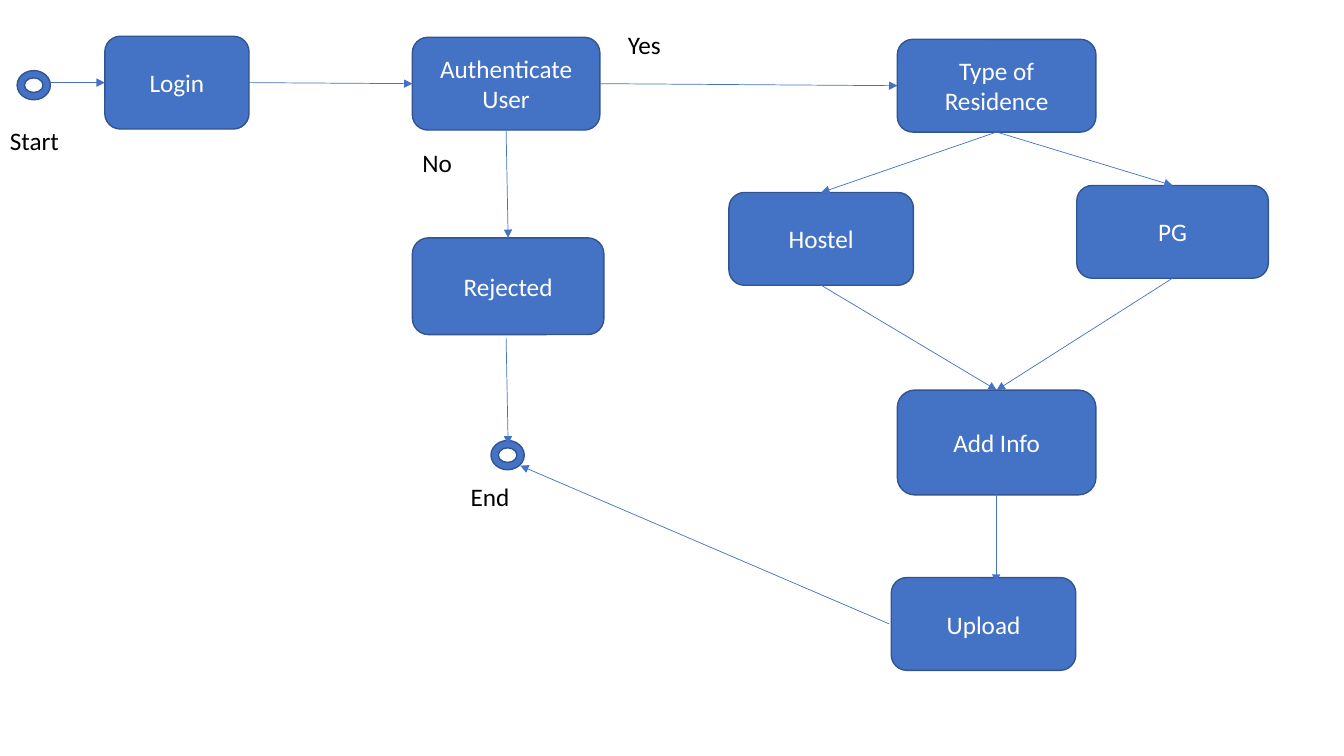
from lxml import etree
from pptx import Presentation
from pptx.dml.color import RGBColor
from pptx.enum.shapes import MSO_CONNECTOR as Connector, MSO_SHAPE as Shape
from pptx.enum.text import MSO_ANCHOR as Anchor, MSO_AUTO_SIZE as AutoSize, PP_ALIGN as Align
from pptx.oxml.ns import qn
from pptx.util import Inches, Pt

BLUE = "4472C4"
OUTLINE = "325491"
TOP, LEFT, BOTTOM, RIGHT = range(4)

STEPS = {
    "Login": (1.04, 0.36, 1.43, 0.92),
    "Authenticate User": (4.09, 0.37, 1.86, 0.92),
    "Rejected": (4.09, 2.36, 1.9, 0.96),
    "Type of Residence": (8.9, 0.39, 1.97, 0.92),
    "Hostel": (7.23, 1.91, 1.83, 0.92),
    "PG": (10.68, 1.84, 1.9, 0.92),
    "Add Info": (8.9, 3.87, 1.97, 1.04),
    "Upload": (8.84, 5.73, 1.83, 0.92),
}
FLOWS = [
    ("Login", RIGHT, "Authenticate User", LEFT),
    ("Authenticate User", BOTTOM, "Rejected", TOP),
    ("Authenticate User", RIGHT, "Type of Residence", LEFT),
    ("Type of Residence", BOTTOM, "PG", TOP),
    ("Type of Residence", BOTTOM, "Hostel", TOP),
    ("Hostel", BOTTOM, "Add Info", TOP),
    ("PG", BOTTOM, "Add Info", TOP),
]
FREE_ARROWS = [
    (9.88, 4.86, 9.88, 5.78),
    (0.51, 0.82, 1.04, 0.82),
    (5.02, 3.35, 5.04, 4.41),
    (8.82, 6.19, 5.16, 4.62),
]
TERMINALS = [(0.17, 0.7), (4.87, 4.37)]
LABELS = {"Start": (0, 1.19), "End": (4.57, 4.73), "Yes": (6.13, 0.24), "No": (4.09, 1.41)}


def color(value):
    return RGBColor.from_string(value)


def set_text(shape, text, size=18, font="Calibri", fill="000000", align=Align.LEFT, anchor=Anchor.TOP):
    frame = shape.text_frame
    frame.word_wrap = True
    frame.vertical_anchor = anchor
    paragraph = frame.paragraphs[0]
    paragraph.alignment = align
    run = paragraph.add_run()
    run.text = text
    run.font.size = Pt(size)
    run.font.name = font
    run.font.color.rgb = color(fill)


def add_node(slide, kind, left, top, width, height):
    shape = slide.shapes.add_shape(kind, *map(Inches, (left, top, width, height)))
    shape.shadow.inherit = False
    shape.fill.solid()
    shape.fill.fore_color.rgb = color(BLUE)
    shape.line.color.rgb = color(OUTLINE)
    shape.line.width = Pt(1)
    return shape


def add_step(slide, text, bounds):
    shape = add_node(slide, Shape.ROUNDED_RECTANGLE, *bounds)
    set_text(shape, text, fill="FFFFFF", align=Align.CENTER, anchor=Anchor.MIDDLE)
    return shape


def add_arrow(slide, points=(0, 0, 0, 0)):
    arrow = slide.shapes.add_connector(Connector.STRAIGHT, *map(Inches, points))
    arrow.line.color.rgb = color(BLUE)
    arrow.line.width = Pt(0.5)
    etree.SubElement(arrow.line._get_or_add_ln(), qn("a:tailEnd"), type="triangle")
    etree.SubElement(arrow._element.spPr, qn("a:effectLst"))
    return arrow


def add_flow(slide, source, source_side, target, target_side):
    arrow = add_arrow(slide)
    arrow.begin_connect(source, source_side)
    arrow.end_connect(target, target_side)


def add_label(slide, text, left, top):
    label = slide.shapes.add_textbox(*map(Inches, (left, top, 1.13, 0.4)))
    set_text(label, text)
    label.text_frame.auto_size = AutoSize.SHAPE_TO_FIT_TEXT


def main():
    presentation = Presentation()
    presentation.slide_width = Inches(13.33)
    presentation.slide_height = Inches(7.5)
    slide = presentation.slides.add_slide(presentation.slide_layouts[6])

    steps = {text: add_step(slide, text, bounds) for text, bounds in STEPS.items()}
    for source, source_side, target, target_side in FLOWS:
        add_flow(slide, steps[source], source_side, steps[target], target_side)
    for left, top in TERMINALS:
        add_node(slide, Shape.DONUT, left, top, 0.33, 0.29)
    for points in FREE_ARROWS:
        add_arrow(slide, points)
    for text, (left, top) in LABELS.items():
        add_label(slide, text, left, top)

    presentation.save("out.pptx")


main()
